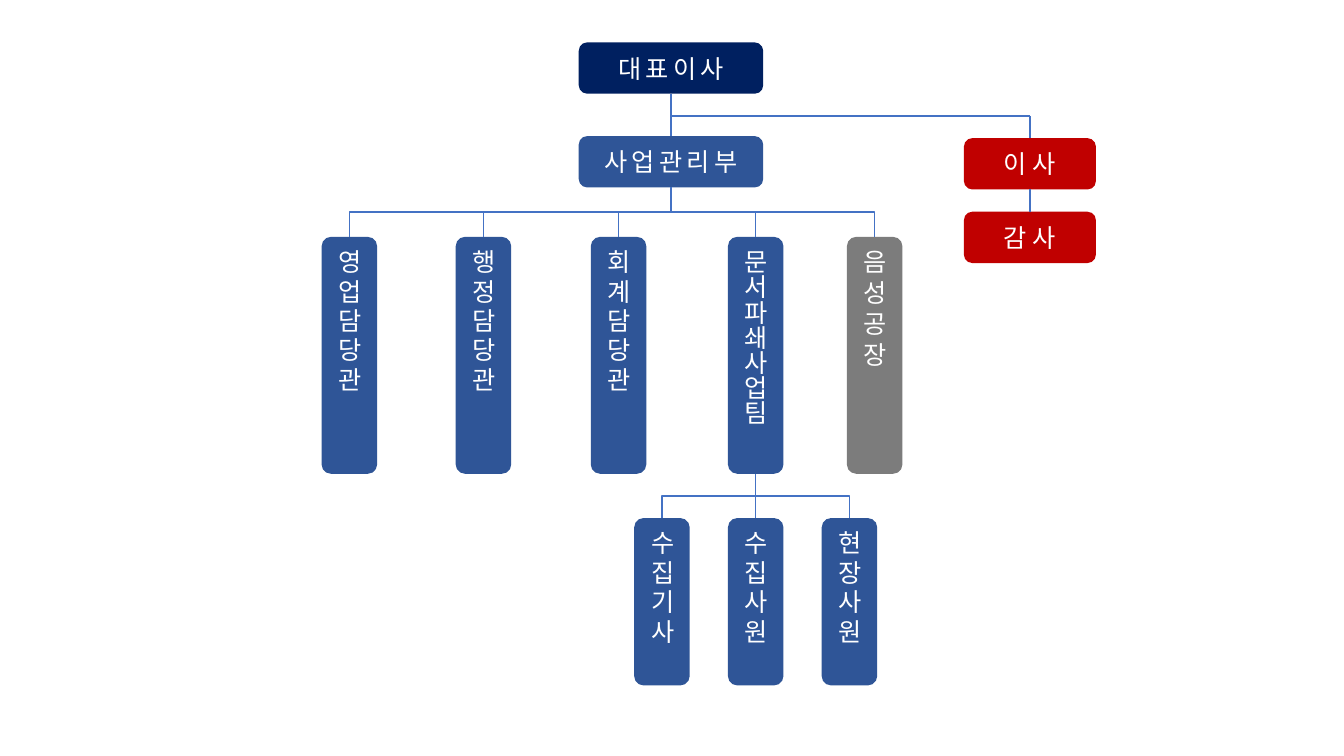
from dataclasses import dataclass

from lxml import etree
from pptx import Presentation
from pptx.dml.color import RGBColor
from pptx.enum.shapes import MSO_CONNECTOR, MSO_SHAPE
from pptx.enum.text import MSO_ANCHOR, PP_ALIGN
from pptx.oxml.ns import qn
from pptx.shapes.autoshape import Shape
from pptx.shapes.connector import Connector
from pptx.slide import Slide
from pptx.util import Inches, Pt

ROUNDED = MSO_SHAPE.ROUNDED_RECTANGLE
STRAIGHT, ELBOW = MSO_CONNECTOR.STRAIGHT, MSO_CONNECTOR.ELBOW
MIDDLE = MSO_ANCHOR.MIDDLE
CENTER, LEFT = PP_ALIGN.CENTER, PP_ALIGN.LEFT

NAVY = RGBColor(0x00, 0x20, 0x60)
BLUE = RGBColor(0x2F, 0x55, 0x97)
RED = RGBColor(0xC0, 0x00, 0x00)
GRAY = RGBColor(0x7C, 0x7C, 0x7C)
WHITE = RGBColor(0xFF, 0xFF, 0xFF)
LINE_BLUE = RGBColor(0x44, 0x72, 0xC4)

FONT = "Noto Sans CJK KR"
CELL = Inches(0.01)  # the slide is a grid of 1333 columns by 750 rows
COLUMNS, ROWS = 1333, 750
TOP_SITE, BOTTOM_SITE = 0, 2
QUARTER_TURN = 5400000

HEAD_WIDTH, BOARD_WIDTH, HEAD_HEIGHT = 183, 131, 51
STAFF_WIDTH, STAFF_ROW, STAFF_HEIGHT = 55, 235, 235
TEAM_ROW, TEAM_HEIGHT, TEAM_COLUMN, TEAM_STEP = 514, 166, 629, 93


@dataclass(frozen=True)
class Unit:
    name: str
    column: int
    row: int
    width: int
    height: int
    color: RGBColor = BLUE
    spacing: int = 3

    @property
    def vertical(self) -> bool:
        return self.height > self.width


CEO = Unit("대표이사", 574, 42, HEAD_WIDTH, HEAD_HEIGHT, NAVY)
DIVISION = Unit("사업관리부", 574, 135, HEAD_WIDTH, HEAD_HEIGHT)
DIRECTOR = Unit("이사", 956, 137, BOARD_WIDTH, HEAD_HEIGHT, RED, 4)
AUDITOR = Unit("감사", 956, 210, BOARD_WIDTH, HEAD_HEIGHT, RED, 4)
STAFF = [
    Unit(name, column, STAFF_ROW, STAFF_WIDTH, STAFF_HEIGHT, color, spacing)
    for name, column, color, spacing in (
        ("영업담당관", 319, BLUE, 3),
        ("행정담당관", 452, BLUE, 3),
        ("회계담당관", 586, BLUE, 3),
        ("문서파쇄사업팀", 722, BLUE, 0),
        ("음성공장", 840, GRAY, 4),
    )
]
SALES, ADMIN, ACCOUNTING, SHREDDING, FACTORY = STAFF
TEAM = [
    Unit(name, TEAM_COLUMN + index * TEAM_STEP, TEAM_ROW, STAFF_WIDTH, TEAM_HEIGHT)
    for index, name in enumerate(("수집기사", "수집사원", "현장사원"))
]
DRIVER, COLLECTOR, FIELD_WORKER = TEAM


def add_unit(page: Slide, unit: Unit) -> Shape:
    box = page.shapes.add_shape(
        ROUNDED, *(CELL * cells for cells in (unit.column, unit.row, unit.width, unit.height))
    )
    box.shadow.inherit = False
    box.fill.solid()
    box.fill.fore_color.rgb = unit.color
    box.line.fill.background()
    frame = box.text_frame
    frame.word_wrap = True
    frame.vertical_anchor = MIDDLE
    if unit.vertical:
        frame._txBody.bodyPr.set("vert", "eaVert")
    para = frame.paragraphs[0]
    para.alignment = LEFT if unit.vertical else CENTER
    span = para.add_run()
    span.text = unit.name
    span.font.size = Pt(18)
    span.font.name = FONT
    span.font.color.rgb = WHITE
    properties = span.font._element
    properties.set("spc", str(unit.spacing * 100))
    etree.SubElement(properties, qn("a:ea")).set("typeface", FONT)
    return box


def style_line(link: Connector) -> None:
    link.line.color.rgb = LINE_BLUE
    link.line.width = Pt(1)
    etree.SubElement(link._element.spPr, qn("a:effectLst"))


def center_of(box: Shape) -> int:
    return box.left + box.width // 2


def level_between(upper: Shape, lower: Shape) -> int:
    return (upper.top + upper.height + lower.top) // 2


def add_straight(page: Slide, upper: Shape, lower: Shape) -> None:
    link = page.shapes.add_connector(STRAIGHT, 0, 0, 0, 0)
    link.begin_connect(upper, BOTTOM_SITE)
    link.end_connect(lower, TOP_SITE)
    style_line(link)


def add_drop(page: Slide, upper: Shape, lower: Shape) -> None:
    """Draw a line to the lower box from halfway below the upper one."""
    x = center_of(lower)
    link = page.shapes.add_connector(STRAIGHT, x, level_between(upper, lower), x, lower.top)
    link.end_connect(lower, TOP_SITE)
    style_line(link)


def add_side_branch(page: Slide, upper: Shape, lower: Shape) -> None:
    """Draw a level line off the stem below the upper box, then a drop."""
    level = level_between(upper, lower)
    style_line(
        page.shapes.add_connector(STRAIGHT, center_of(upper), level, center_of(lower), level)
    )
    add_drop(page, upper, lower)


def add_branch(page: Slide, upper: Shape, lower: Shape) -> None:
    """Draw an elbow that goes down, across and down again."""
    link = page.shapes.add_connector(ELBOW, 0, 0, 0, 0)
    link.begin_connect(upper, BOTTOM_SITE)
    link.end_connect(lower, TOP_SITE)
    start, end = center_of(upper), center_of(lower)
    bottom = upper.top + upper.height
    drop, reach = lower.top - bottom, abs(end - start)
    # The elbow runs sideways by default, so its frame is turned about its centre.
    link.left = (start + end - drop) // 2
    link.top = (bottom + lower.top - reach) // 2
    link.width, link.height = drop, reach
    rightward = end > start
    frame = link._element.spPr.find(qn("a:xfrm"))
    frame.set("rot", str(QUARTER_TURN * (3 if rightward else 1)))
    frame.set("flipH", "1" if rightward else "0")
    frame.set("flipV", "0")
    style_line(link)


def main() -> None:
    deck = Presentation()
    deck.slide_width, deck.slide_height = CELL * COLUMNS, CELL * ROWS
    page = deck.slides.add_slide(deck.slide_layouts[6])
    boxes = {
        unit: add_unit(page, unit)
        for unit in (CEO, DIVISION, *STAFF, *TEAM, DIRECTOR, AUDITOR)
    }
    links = (
        (add_straight, CEO, (DIVISION,)),
        (add_side_branch, CEO, (DIRECTOR,)),
        (add_straight, DIRECTOR, (AUDITOR,)),
        (add_branch, DIVISION, (SALES, ACCOUNTING, SHREDDING, FACTORY)),
        (add_drop, DIVISION, (ADMIN,)),
        (add_branch, SHREDDING, (DRIVER, FIELD_WORKER)),
        (add_drop, SHREDDING, (COLLECTOR,)),
    )
    for add_link, upper, lowers in links:
        for lower in lowers:
            add_link(page, boxes[upper], boxes[lower])
    deck.save("out.pptx")


if __name__ == "__main__":
    main()
